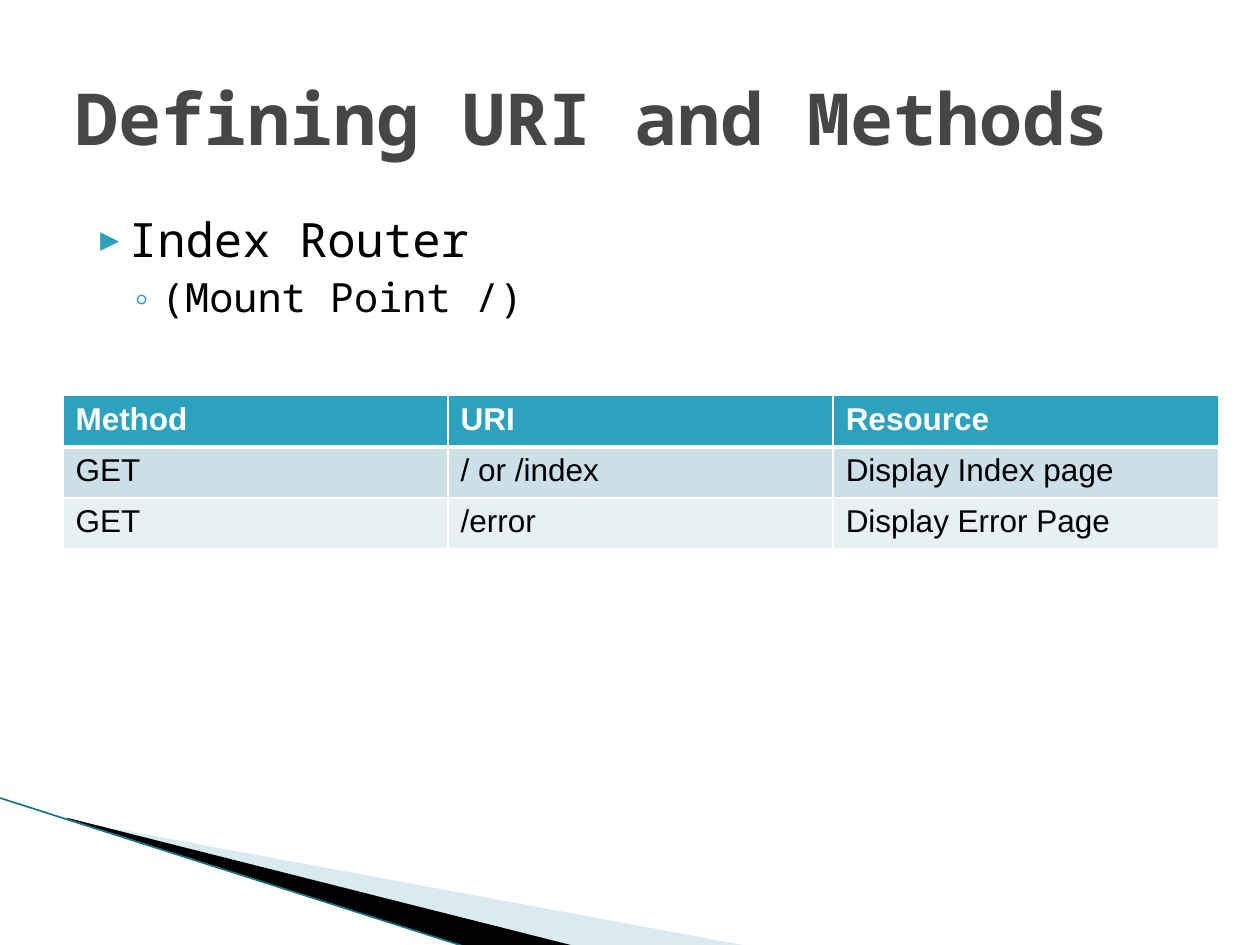
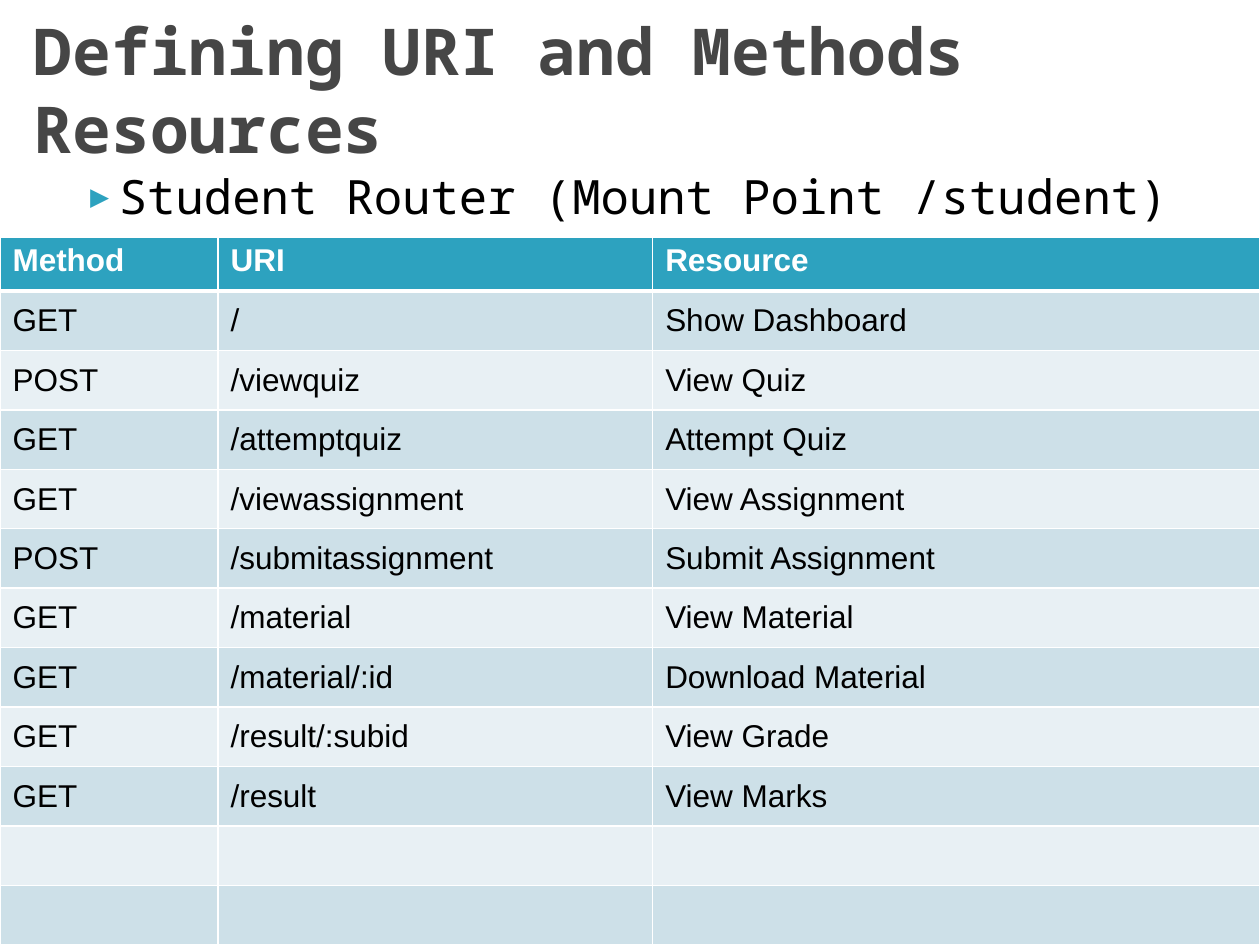
from lxml.etree import SubElement
from pptx import Presentation
from pptx.dml.color import RGBColor
from pptx.enum.shapes import MSO_CONNECTOR
from pptx.enum.text import MSO_ANCHOR
from pptx.oxml.ns import qn
from pptx.util import Inches, Pt

TEAL = RGBColor(0x2D, 0xA2, 0xBF)
PALE_BLUE = RGBColor(0xA0, 0xCB, 0xDC)
EDGE_TEAL = RGBColor(0x1B, 0x73, 0x87)
ODD_ROW = RGBColor(0xCD, 0xE0, 0xE8)
EVEN_ROW = RGBColor(0xE8, 0xF0, 0xF4)
TITLE_GRAY = RGBColor(0x46, 0x46, 0x46)
BLACK = RGBColor(0, 0, 0)
WHITE = RGBColor(255, 255, 255)

HEADER = ("Method", "URI", "Resource")
INDEX_ROUTES = [
    ("GET", "/ or /index", "Display Index page"),
    ("GET", "/error", "Display Error Page"),
]
STUDENT_ROUTES = [
    ("GET", "/", "Show Dashboard"),
    ("POST", "/viewquiz", "View Quiz"),
    ("GET", "/attemptquiz", "Attempt Quiz"),
    ("GET", "/viewassignment", "View Assignment"),
    ("POST", "/submitassignment", "Submit Assignment"),
    ("GET", "/material", "View Material"),
    ("GET", "/material/:id", "Download Material"),
    ("GET", "/result/:subid", "View Grade"),
    ("GET", "/result", "View Marks"),
    ("", "", ""),
    ("", "", ""),
]
BULLET_LEVELS = [
    {"size": 27, "margin": 0.4, "hanging": 0.28, "before": 4, "mark": "▶", "scale": 68},
    {"size": 23, "margin": 0.68, "hanging": 0.25, "before": 3.2, "mark": "◦", "scale": 100},
]


class Deck:
    text_font = "Noto Sans Mono"
    table_font = "Arial"

    def __init__(self, presentation):
        self.presentation = presentation
        self.slide = None

    def new_slide(self):
        self.slide = self.presentation.slides.add_slide(self.presentation.slide_layouts[6])
        self.wedge([(0.55, 6.51), (5.95, 7.51), (4.56, 7.51), (0.55, 6.5)],
                   (0.78, 5.47, 4.16, 1.58), PALE_BLUE, 40)
        self.wedge([(0.53, 6.49), (4.57, 7.51), (3.72, 7.52), (0.54, 6.5)],
                   (-0.06, 6.33, 4.16, 0.92), BLACK)
        self.line((-0.01, 6.33), (3.71, 7.52), EDGE_TEAL, 0.95)

    def wedge(self, points, frame, color, opacity=100):
        start, *others = [(Inches(x), Inches(y)) for x, y in points]
        builder = self.slide.shapes.build_freeform(*start)
        builder.add_line_segments(others, close=True)
        shape = builder.convert_to_shape()
        self.reframe(shape, *[Inches(value) for value in frame])
        shape.shadow.inherit = False
        shape.fill.solid()
        shape.fill.fore_color.rgb = color
        shape.line.fill.background()
        if opacity < 100:
            color_element = shape.fill._xPr.find(f".//{qn('a:srgbClr')}")
            SubElement(color_element, qn("a:alpha"), val=str(opacity * 1000))

    def reframe(self, shape, left, top, width, height):
        outline = shape._element.spPr.find(f".//{qn('a:path')}")
        outline.set("w", str(width))
        outline.set("h", str(height))
        for point in outline.iter(qn("a:pt")):
            point.set("x", str(int(point.get("x")) + shape.left - left))
            point.set("y", str(int(point.get("y")) + shape.top - top))
        shape.left, shape.top, shape.width, shape.height = left, top, width, height

    def line(self, start, end, color, width):
        ends = [Inches(value) for value in (*start, *end)]
        connector = self.slide.shapes.add_connector(MSO_CONNECTOR.STRAIGHT, *ends)
        connector.line.color.rgb = color
        connector.line.width = Pt(width)
        SubElement(connector._element.spPr, qn("a:effectLst"))

    def text_frame(self, box, anchor):
        shape = self.slide.shapes.add_textbox(*[Inches(value) for value in box])
        frame = shape.text_frame
        frame.word_wrap = True
        frame.vertical_anchor = anchor
        return frame

    def run(self, paragraph, text, font_name, size, color, bold=False):
        run = paragraph.add_run()
        run.text = text
        run.font.name = font_name
        run.font.size = Pt(size)
        run.font.color.rgb = color
        run.font.bold = bold

    def title(self, text, box, size):
        paragraph = self.text_frame(box, MSO_ANCHOR.MIDDLE).paragraphs[0]
        self.run(paragraph, text, self.text_font, size, TITLE_GRAY, True)

    def bullets(self, texts, box):
        frame = self.text_frame(box, MSO_ANCHOR.TOP)
        for level, (text, style) in enumerate(zip(texts, BULLET_LEVELS)):
            paragraph = frame.add_paragraph() if level else frame.paragraphs[0]
            paragraph.level = level
            paragraph.space_before = Pt(style["before"])
            properties = paragraph._p.get_or_add_pPr()
            properties.set("marL", str(Inches(style["margin"])))
            properties.set("indent", str(-Inches(style["hanging"])))
            bullet_color = SubElement(properties, qn("a:buClr"))
            SubElement(bullet_color, qn("a:srgbClr"), val=str(TEAL))
            SubElement(properties, qn("a:buSzPct"), val=str(style["scale"] * 1000))
            SubElement(properties, qn("a:buFont"), typeface=self.text_font)
            SubElement(properties, qn("a:buChar"), char=style["mark"])
            self.run(paragraph, text, self.text_font, style["size"], BLACK)

    def borders(self, cell, **widths):
        properties = cell._tc.get_or_add_tcPr()
        for side in "LRTB":
            width = Pt(widths.get(side, 1))
            border = SubElement(properties, qn(f"a:ln{side}"), w=str(width))
            fill = SubElement(border, qn("a:solidFill"))
            SubElement(fill, qn("a:srgbClr"), val=str(WHITE))

    def table(self, routes, box, column_widths, header_height, anchor):
        rows = [HEADER, *routes]
        row_height = (box[3] - header_height) / len(routes)
        heights = [header_height] + [row_height] * len(routes)
        table = self.slide.shapes.add_table(
            len(rows), len(HEADER), *[Inches(value) for value in box]
        ).table
        for column, width in zip(table.columns, column_widths):
            column.width = Inches(width)
        for row, height in zip(table.rows, heights):
            row.height = Inches(height)
        for row_index, texts in enumerate(rows):
            is_header = row_index == 0
            row_color = TEAL if is_header else ODD_ROW if row_index % 2 else EVEN_ROW
            for column_index, text in enumerate(texts):
                cell = table.cell(row_index, column_index)
                self.borders(cell, B=3 if is_header else 1, T=3 if row_index == 1 else 1)
                cell.fill.solid()
                cell.fill.fore_color.rgb = row_color
                cell.vertical_anchor = MSO_ANCHOR.TOP if is_header else anchor
                if text:
                    self.run(cell.text_frame.paragraphs[0], text, self.table_font, 18,
                             WHITE if is_header else BLACK, is_header)


def main():
    presentation = Presentation()
    presentation.slide_width = Inches(10)
    presentation.slide_height = Inches(7.5)
    deck = Deck(presentation)

    deck.new_slide()
    deck.bullets(["Index Router", "(Mount Point /)"], (0.5, 1.62, 9, 1.38))
    deck.title("Defining URI and Methods", (0.5, 0.3, 9, 1.25), 41)
    deck.table(INDEX_ROUTES, (0.5, 3.14, 9.17, 1.22), [9.17 / 3] * 3, 1.22 / 3, MSO_ANCHOR.TOP)

    deck.new_slide()
    deck.bullets(["Student Router (Mount Point /student)"], (0.42, 1.28, 9, 0.55))
    deck.title("Defining URI and Methods Resources", (0.17, 0.08, 9.5, 1.25), 36.9)
    deck.table(STUDENT_ROUTES, (0, 1.88, 10, 5.62), [1.73, 3.45, 4.82], 0.43, MSO_ANCHOR.MIDDLE)

    presentation.save("out.pptx")


if __name__ == "__main__":
    main()
